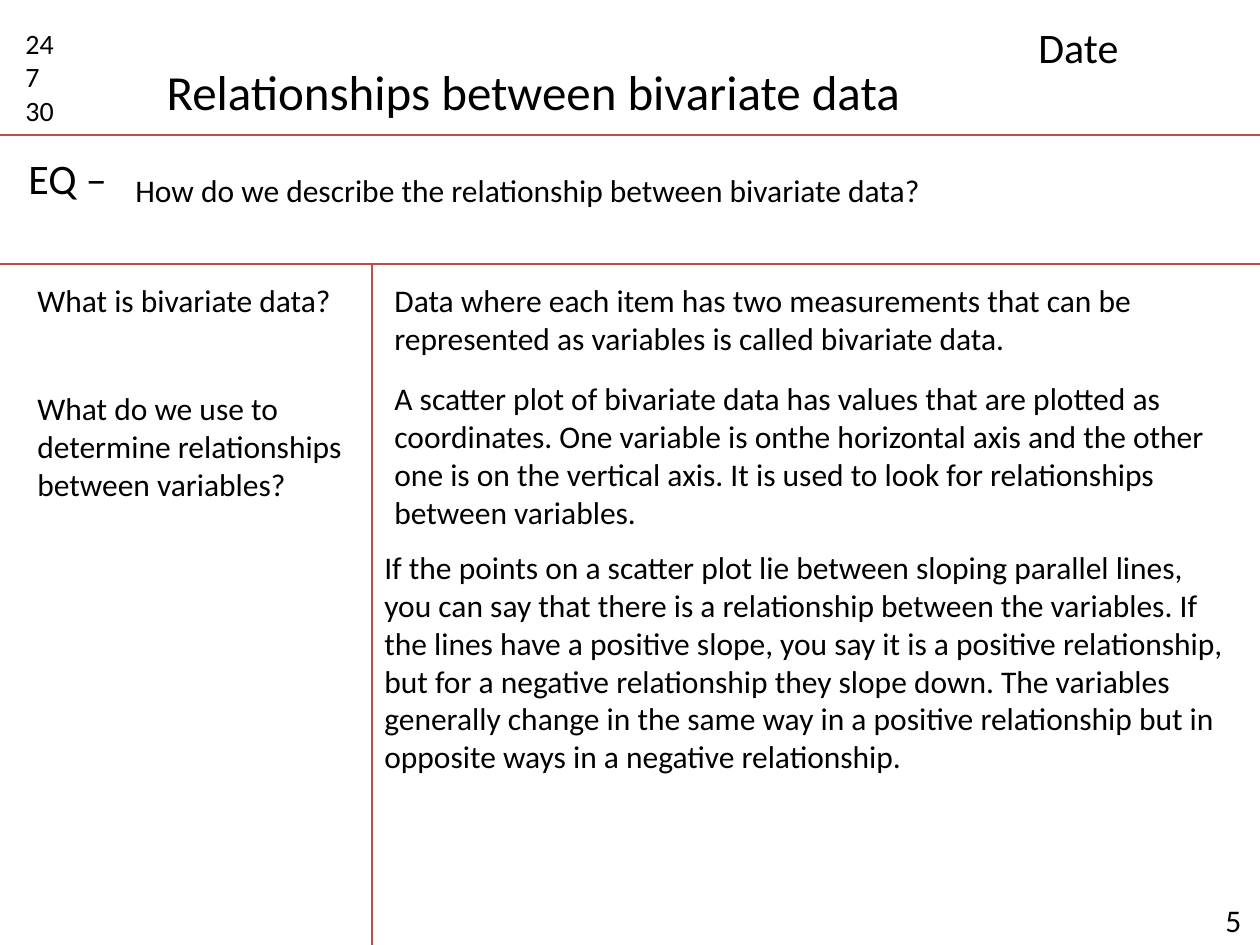
from dataclasses import dataclass

from lxml import etree
from pptx import Presentation
from pptx.dml.color import RGBColor
from pptx.enum.shapes import MSO_CONNECTOR
from pptx.enum.text import MSO_ANCHOR, MSO_AUTO_SIZE, PP_ALIGN
from pptx.oxml.ns import qn
from pptx.util import Emu, Pt

STRAIGHT = MSO_CONNECTOR.STRAIGHT
TOP = MSO_ANCHOR.TOP
FIT_SHAPE = MSO_AUTO_SIZE.SHAPE_TO_FIT_TEXT
LEFT = PP_ALIGN.LEFT

EMU_PER_PX = 914400 / 126
SLIDE_WIDTH, SLIDE_HEIGHT = 1260, 945
HEADER_BOTTOM, QUESTION_BOTTOM, CUE_RIGHT = 135, 264, 372
CUE_LEFT, CUE_WIDTH = 25, 338
NOTE_LEFT, NOTE_WIDTH = 382, 878
RULE_COLOR = "BF4C48"
TITLE_LAYOUT = 5


@dataclass
class TextItem:
    left: int
    top: int
    width: int
    height: int
    text: str
    size: int = 18


@dataclass
class Rule:
    x1: int
    y1: int
    x2: int
    y2: int


RULES = [
    Rule(0, HEADER_BOTTOM, SLIDE_WIDTH, HEADER_BOTTOM),
    Rule(0, QUESTION_BOTTOM, SLIDE_WIDTH, QUESTION_BOTTOM),
    Rule(CUE_RIGHT, QUESTION_BOTTOM, CUE_RIGHT, SLIDE_HEIGHT),
]

TITLE = TextItem(154, 55, 767, 72, "Relationships between bivariate data", 28)

TEXT_ITEMS = [
    # Header and essential question
    TextItem(13, 20, 79, 115, "24\n7\n30", 16),
    TextItem(1026, 15, 218, 63, "Date", 24),
    TextItem(16, 146, 1188, 63, "EQ –", 24),
    TextItem(123, 165, 1111, 50,
             "How do we describe the relationship between bivariate data?"),
    # Cue column
    TextItem(CUE_LEFT, 275, CUE_WIDTH, 50, "What is bivariate data?"),
    TextItem(CUE_LEFT, 383, CUE_WIDTH, 127,
             "What do we use to determine relationships between variables?"),
    # Notes column
    TextItem(NOTE_LEFT, 275, NOTE_WIDTH, 89,
             "Data where each item has two measurements that can be "
             "represented as variables is called bivariate data."),
    TextItem(NOTE_LEFT, 373, NOTE_WIDTH, 165,
             "A scatter plot of bivariate data has values that are plotted as "
             "coordinates. One variable is onthe horizontal axis and the other "
             "one is on the vertical axis. It is used to look for relationships\n"
             "between variables."),
    TextItem(CUE_RIGHT, 542, 868, 242,
             "If the points on a scatter plot lie between sloping parallel lines, "
             "you can say that there is a relationship between the variables. If "
             "the lines have a positive slope, you say it is a positive relationship, "
             "but for a negative relationship they slope down. The variables "
             "generally change in the same way in a positive relationship but in "
             "opposite ways in a negative relationship."),
    # Page number
    TextItem(1213, 895, 47, 50, "5"),
]


def px(length: int) -> Emu:
    return Emu(round(length * EMU_PER_PX))


def color(value: str) -> RGBColor:
    return RGBColor.from_string(value)


def write_text(shape, text: str, *, size: int, font: str = "Calibri",
               fill: str = "000000", wrap: bool = True) -> None:
    frame = shape.text_frame
    frame.text = text
    frame.word_wrap = wrap
    frame.auto_size = FIT_SHAPE
    frame.vertical_anchor = TOP
    for paragraph in frame.paragraphs:
        paragraph.alignment = LEFT
        paragraph.font.name = font
        paragraph.font.size = Pt(size)
        paragraph.font.color.rgb = color(fill)


def add_text(slide, item: TextItem) -> None:
    box = slide.shapes.add_textbox(px(item.left), px(item.top),
                                   px(item.width), px(item.height))
    write_text(box, item.text, size=item.size)


def set_title(slide, item: TextItem) -> None:
    title = slide.shapes.title
    title.left, title.top = px(item.left), px(item.top)
    title.width, title.height = px(item.width), px(item.height)
    write_text(title, item.text, size=item.size, wrap=False)


def add_rule(slide, rule: Rule) -> None:
    line = slide.shapes.add_connector(STRAIGHT, px(rule.x1), px(rule.y1),
                                      px(rule.x2), px(rule.y2))
    line.line.color.rgb = color(RULE_COLOR)
    line.line.width = Pt(0.75)
    etree.SubElement(line._element.spPr, qn("a:effectLst"))


def main() -> None:
    presentation = Presentation()
    presentation.slide_width = px(SLIDE_WIDTH)
    presentation.slide_height = px(SLIDE_HEIGHT)
    slide = presentation.slides.add_slide(presentation.slide_layouts[TITLE_LAYOUT])

    set_title(slide, TITLE)
    for rule in RULES:
        add_rule(slide, rule)
    for item in TEXT_ITEMS:
        add_text(slide, item)

    presentation.save("out.pptx")


if __name__ == "__main__":
    main()
